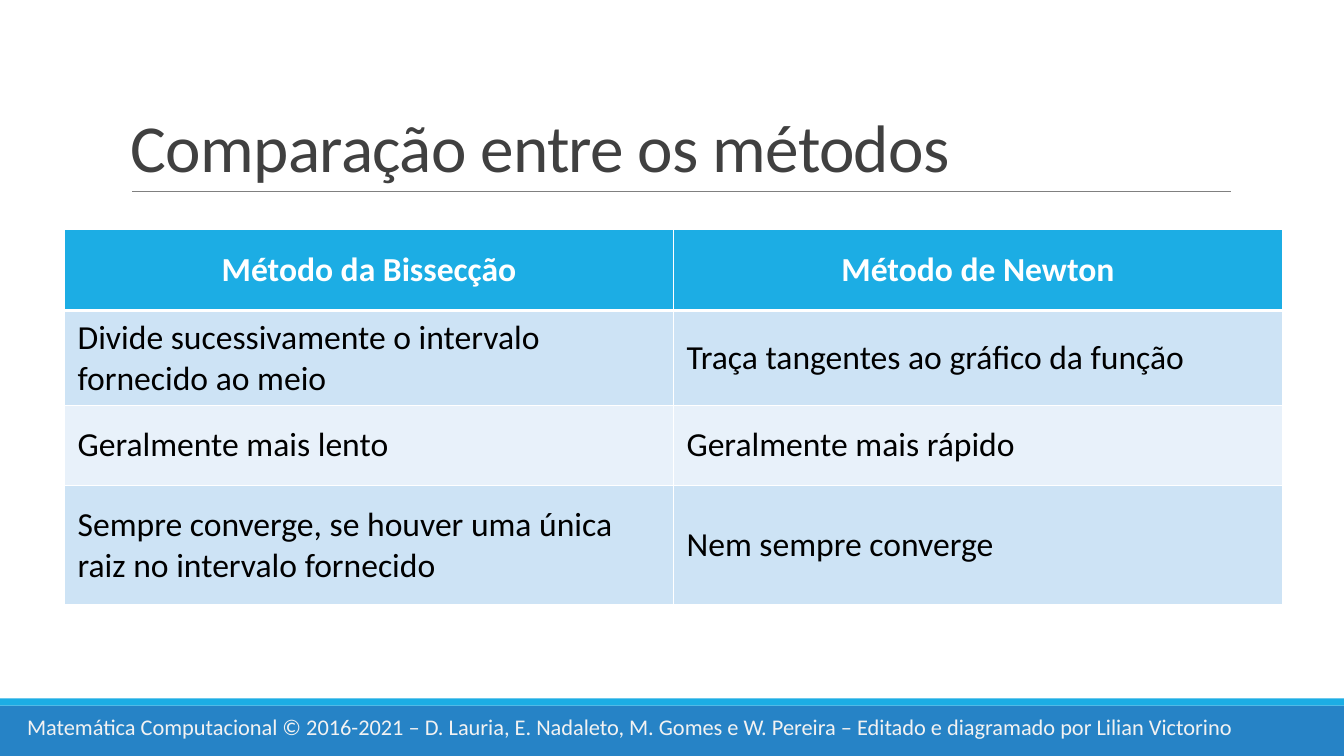
"""Build the slide that compares the bisection and Newton methods."""
from dataclasses import dataclass

from lxml.etree import SubElement
from pptx import Presentation
from pptx.dml.color import RGBColor
from pptx.enum.shapes import MSO_CONNECTOR, MSO_SHAPE
from pptx.enum.text import MSO_ANCHOR, PP_ALIGN
from pptx.oxml.ns import qn
from pptx.util import Inches, Pt

TITLE = "Comparação entre os métodos"
COMPARISON = [
    ("Método da Bissecção", "Método de Newton"),
    ("Divide sucessivamente o intervalo fornecido ao meio", "Traça tangentes ao gráfico da função"),
    ("Geralmente mais lento", "Geralmente mais rápido"),
    ("Sempre converge, se houver uma única raiz no intervalo fornecido", "Nem sempre converge"),
]
CREDITS = ("Matemática Computacional © 2016-2021 – D. Lauria, E. Nadaleto, M. Gomes e W. Pereira"
           " – Editado e diagramado por Lilian Victorino")


@dataclass(frozen=True)
class Theme:
    font: str = "Calibri"
    title_size: int = 48
    table_size: int = 24
    credits_size: int = 16
    title: str = "404040"
    accent: str = "1CADE4"
    footer: str = "2683C6"
    credits: str = "F2F2F2"
    rule: str = "808080"
    body: str = "000000"
    white: str = "FFFFFF"
    bands: tuple = ("E8F1FA", "CDE3F5")


THEME = Theme()
WIDTH, HEIGHT = 13.33, 7.5
FOOTER_TOP, STRIPE = 7.0, 0.07
RULE_LEFT, RULE_RIGHT, RULE_TOP = 1.31, 12.21, 1.9
TABLE_LEFT, TABLE_TOP, COLUMN = 0.64, 2.28, 6.04
ROWS = (0.8, 0.93, 0.8, 1.18)
THIN, THICK = 1, 3


def write(frame, text, *, size, color, bold=False, align=PP_ALIGN.LEFT,
          anchor=MSO_ANCHOR.TOP, leading=None, tracking=None):
    frame.word_wrap = True
    frame.vertical_anchor = anchor
    paragraph = frame.paragraphs[0]
    paragraph.alignment = align
    if leading:
        paragraph.line_spacing = leading
    run = paragraph.add_run()
    run.text = text
    run.font.name = THEME.font
    run.font.size = Pt(size)
    run.font.bold = bold
    run.font.color.rgb = RGBColor.from_string(color)
    if tracking:
        run.font._element.set("spc", str(round(tracking * 100)))


def add_band(slide, top, height, color):
    band = slide.shapes.add_shape(
        MSO_SHAPE.RECTANGLE, 0, Inches(top), Inches(WIDTH), Inches(height))
    band.shadow.inherit = False
    band.fill.solid()
    band.fill.fore_color.rgb = RGBColor.from_string(color)
    band.line.fill.background()


def add_rule(slide):
    rule = slide.shapes.add_connector(
        MSO_CONNECTOR.STRAIGHT, Inches(RULE_LEFT), Inches(RULE_TOP),
        Inches(RULE_RIGHT), Inches(RULE_TOP))
    rule.line.color.rgb = RGBColor.from_string(THEME.rule)
    rule.line.width = Pt(0.5)
    SubElement(rule._element.spPr, qn("a:effectLst"))


def add_text(slide, box, text, **style):
    frame = slide.shapes.add_textbox(*map(Inches, box)).text_frame
    write(frame, text, **style)


def set_borders(cell, **widths):
    for side, width in widths.items():
        border = SubElement(cell._tc.get_or_add_tcPr(), qn(f"a:ln{side}"), w=str(Pt(width)))
        SubElement(SubElement(border, qn("a:solidFill")), qn("a:srgbClr"), val=THEME.white)


def add_comparison(slide):
    columns = len(COMPARISON[0])
    table = slide.shapes.add_table(
        len(ROWS), columns, Inches(TABLE_LEFT), Inches(TABLE_TOP),
        Inches(COLUMN * columns), Inches(sum(ROWS))).table
    for column in table.columns:
        column.width = Inches(COLUMN)
    for index, (height, entries) in enumerate(zip(ROWS, COMPARISON)):
        table.rows[index].height = Inches(height)
        header = index == 0
        for column, entry in enumerate(entries):
            cell = table.cell(index, column)
            cell.margin_left = cell.margin_right = Inches(0.13)
            cell.margin_top = cell.margin_bottom = Inches(0.07)
            cell.vertical_anchor = MSO_ANCHOR.MIDDLE
            set_borders(cell, L=THIN, R=THIN, T=THICK if index == 1 else THIN,
                        B=THICK if header else THIN)
            cell.fill.solid()
            cell.fill.fore_color.rgb = RGBColor.from_string(
                THEME.accent if header else THEME.bands[index % 2])
            write(cell.text_frame, entry, size=THEME.table_size, bold=header,
                  color=THEME.white if header else THEME.body,
                  align=PP_ALIGN.CENTER if header else PP_ALIGN.LEFT,
                  anchor=MSO_ANCHOR.MIDDLE)


def main():
    deck = Presentation()
    deck.slide_width, deck.slide_height = Inches(WIDTH), Inches(HEIGHT)
    slide = deck.slides.add_slide(deck.slide_layouts[6])
    add_band(slide, FOOTER_TOP, HEIGHT - FOOTER_TOP, THEME.footer)
    add_band(slide, FOOTER_TOP - STRIPE, STRIPE, THEME.accent)
    add_rule(slide)
    add_text(slide, (0.17, 7.03, 12.81, 0.37), CREDITS,
             size=THEME.credits_size, color=THEME.credits)
    add_comparison(slide)
    add_text(slide, (1.2, 0.31, 11, RULE_TOP - 0.31), TITLE, size=THEME.title_size,
             color=THEME.title, anchor=MSO_ANCHOR.BOTTOM, leading=0.85, tracking=-0.5)
    deck.save("out.pptx")


if __name__ == "__main__":
    main()
